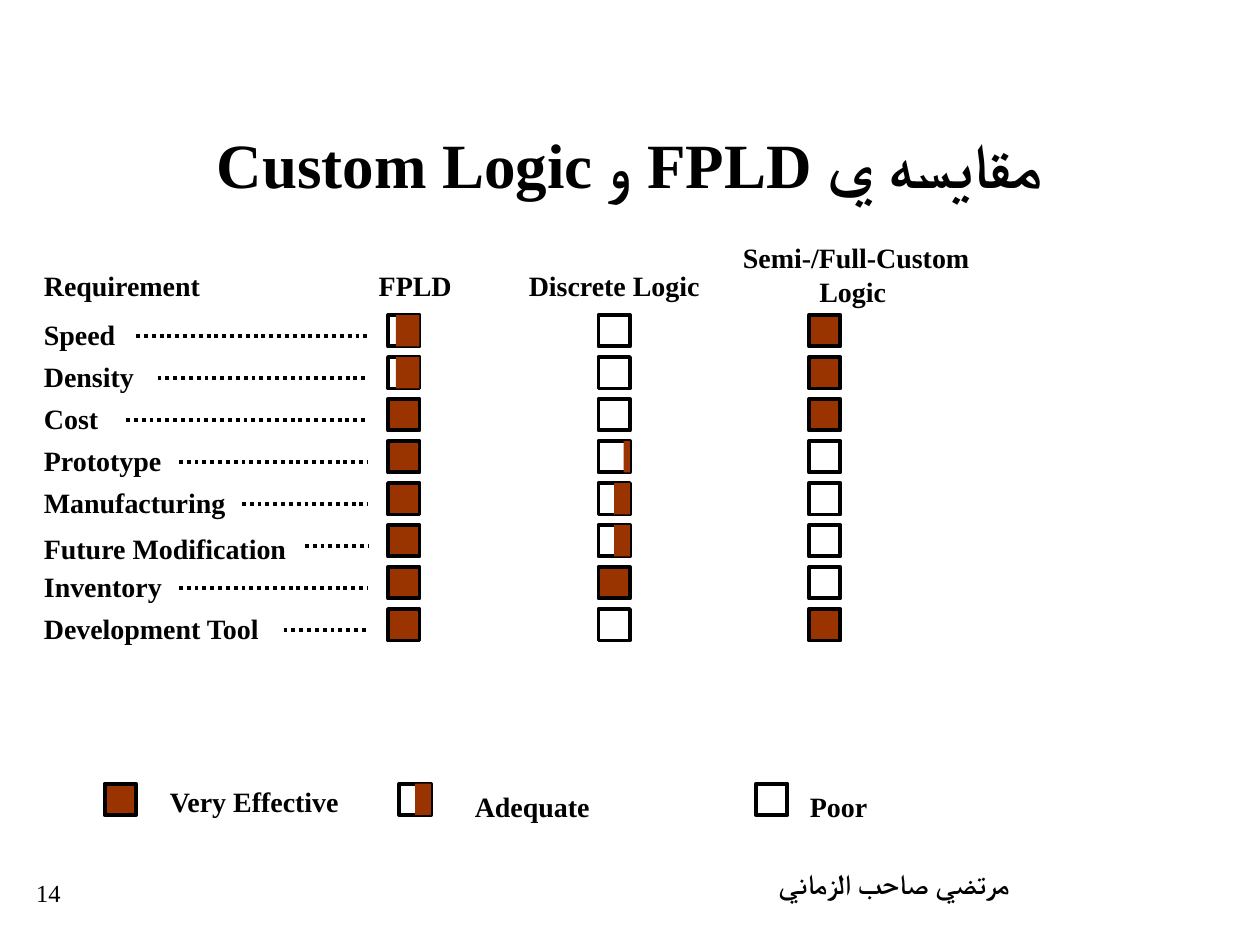
from lxml.etree import SubElement
from pptx import Presentation
from pptx.dml.color import RGBColor
from pptx.enum.dml import MSO_LINE
from pptx.enum.shapes import MSO_CONNECTOR, MSO_SHAPE
from pptx.enum.text import MSO_ANCHOR, PP_ALIGN
from pptx.oxml.ns import qn
from pptx.util import Inches, Pt

FONT = "Times New Roman"
BLACK, RUST = "000000", "993300"
BOX = 0.25
PITCH = 1 / 3
LABEL = {"size": Pt(16), "bold": True, "name": FONT}
TITLE = LABEL | {"size": Pt(36)}
NUMBER = LABEL | {"size": Pt(14), "bold": False}

HEADINGS = [
    ("FPLD", 2.17, 2.08, 0.37),
    ("Discrete Logic", 3.75, 2.08, 0.37),
    ("Semi-/Full-Custom Logic ", 5.67, 1.86, 0.64),
]
BOX_LEFTS = [3.08, 4.75, 6.42]
ROWS = [
    ("Speed", 0, 1.08, (0.75, 0, 1)),
    ("Density", 0, 1.25, (0.75, 0, 1)),
    ("Cost", 0, 1, (1, 0, 1)),
    ("Prototype", 0, 1.42, (1, 0.2, 0)),
    ("Manufacturing", 0, 1.92, (1, 0.5, 0)),
    ("Future Modification", 0.03, 2.42, (1, 0.5, 0)),
    ("Inventory", 0, 1.42, (1, 1, 0)),
    ("Development Tool", 0, 2.25, (1, 0, 1)),
]
LEGEND = [
    ("Very Effective", 1, 0.83, 1.25, -0.04),
    ("Adequate", 0.5, 3.17, 3.67, 0),
    ("Poor", 0, 6, 6.33, 0),
]


def color(value):
    return RGBColor.from_string(value)


def add_text(s, text, box, fmt=LABEL, align=PP_ALIGN.LEFT, anchor=MSO_ANCHOR.TOP, rtl=False):
    tf = s.shapes.add_textbox(*map(Inches, box)).text_frame
    tf.word_wrap = True
    tf.vertical_anchor = anchor
    p = tf.paragraphs[0]
    p.alignment = align
    if rtl:
        p._p.get_or_add_pPr().set("rtl", "1")
    r = p.add_run()
    r.text = text
    for name, value in fmt.items():
        setattr(r.font, name, value)
    r.font.color.rgb = color(BLACK)
    SubElement(r._r.get_or_add_rPr(), qn("a:cs"), typeface=FONT)


def add_rect(shapes, box, fill=None, line=None):
    sp = shapes.add_shape(MSO_SHAPE.RECTANGLE, *map(Inches, box))
    sp.shadow.inherit = False
    if fill:
        sp.fill.solid()
        sp.fill.fore_color.rgb = color(fill)
    else:
        sp.fill.background()
    if line:
        sp.line.color.rgb = color(line)
        sp.line.width = Pt(2.25)
    else:
        sp.line.fill.background()


def add_rating(s, x, y, level):
    partial = 0 < level < 1
    shapes = s.shapes.add_group_shape().shapes if partial else s.shapes
    add_rect(shapes, (x, y, BOX, BOX), RUST if level == 1 else None, BLACK)
    if partial:
        width = BOX * level
        add_rect(shapes, (x + BOX - width, y, width, BOX), RUST)


def add_leader(s, x1, x2, y):
    line = s.shapes.add_connector(
        MSO_CONNECTOR.STRAIGHT, Inches(x1), Inches(y), Inches(x2), Inches(y))
    line.line.color.rgb = color(BLACK)
    line.line.width = Pt(2.25)
    line.line.dash_style = MSO_LINE.ROUND_DOT
    SubElement(line._element.spPr, qn("a:effectLst"))


def add_header(s, left, top):
    add_text(s, "Requirement", (left, top, 2.25, 0.37))
    for text, x, y, height in HEADINGS:
        add_text(s, text, (x, y, 2.25, height), align=PP_ALIGN.CENTER)


def add_ratings(s, left, top):
    for i, (label, shift, leader, levels) in enumerate(ROWS):
        y = top + i * PITCH
        add_text(s, label, (left, y - 0.03 + shift, 2.25, 0.37))
        add_leader(s, leader, 2.92, y + 0.17)
        for x, level in zip(BOX_LEFTS, levels):
            add_rating(s, x, y, level)


def add_legend(s, top):
    for label, level, box_left, text_left, shift in LEGEND:
        add_rating(s, box_left, top, level)
        add_text(s, label, (text_left, top + shift, 2.25, 0.37))


def add_footer(s, top):
    add_text(s, "مرتضي صاحب الزماني", (6.08, top, 3.17, 0.5), rtl=True)
    add_text(s, "14", (0, top + 0.09, 0.58, 0.5), NUMBER, PP_ALIGN.RIGHT)


def main():
    prs = Presentation()
    prs.slide_width, prs.slide_height = Inches(10), Inches(7.5)
    s = prs.slides.add_slide(prs.slide_layouts[6])
    add_text(s, "مقايسه ي FPLD و Custom Logic", (0.75, 0.67, 8.5, 1.25),
             TITLE, PP_ALIGN.CENTER, MSO_ANCHOR.MIDDLE, rtl=True)
    add_header(s, 0.25, 2.08)
    add_ratings(s, 0.25, 2.5)
    add_legend(s, 6.22)
    add_footer(s, 6.83)
    prs.save("out.pptx")


if __name__ == "__main__":
    main()
